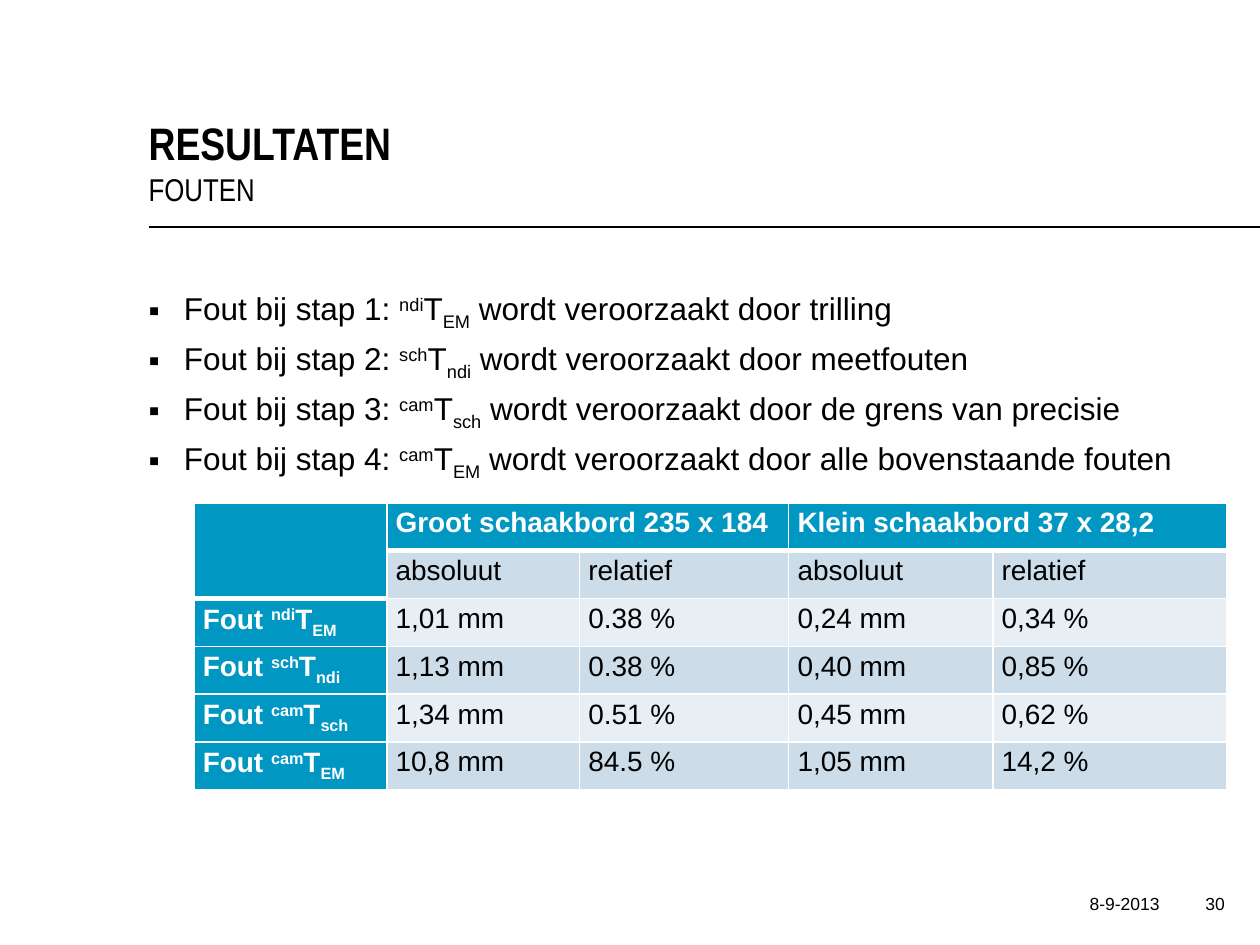
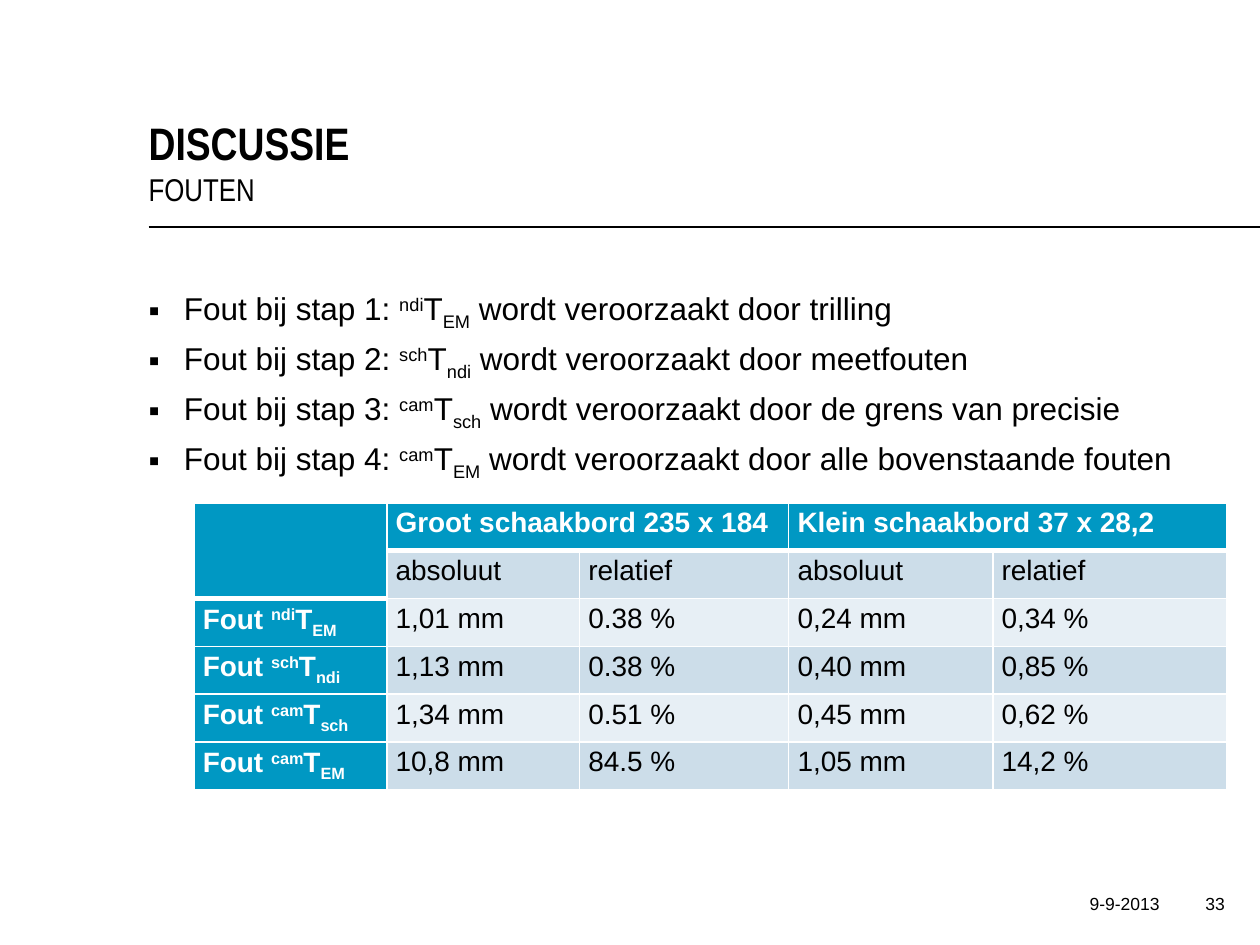
from lxml.etree import SubElement as Sub
from pptx import Presentation as Deck
from pptx.dml.color import RGBColor as Rgb
from pptx.enum.shapes import MSO_CONNECTOR as Link
from pptx.enum.text import MSO_ANCHOR as Anchor, PP_ALIGN as Align
from pptx.oxml.ns import qn
from pptx.util import Inches, Pt

HUES = {"ink": "000000", "paper": "FFFFFF", "head": "0098C3",
        "dark": "CCDDE9", "light": "E7EFF5"}
WIDE, HIGH = Inches(10), Inches(7.5)
COLS, ROWS = 100, 75
LEFT = 11.8
HEAD = (LEFT, 5.5, 85, 11)
RULE = (LEFT, 18, COLS - LEFT, 0)
BODY = (LEFT, 22.4, 85.3, 38.9)
GRID = (15.4, 39.9, 82, 22.8)
FOOT = (82.8, 70, 14.4, 5.2)
SHIFTS = (0, 30, 0, -25, 0)

TERMS = ["|ndi|T|EM|", "|sch|T|ndi|", "|cam|T|sch|", "|cam|T|EM|"]
CAUSES = ["trilling", "meetfouten", "de grens van precisie",
          "alle bovenstaande fouten"]
SPANS = [15.3, 15.3, 16.6, 16.2, 18.6]
BOARDS = ["Groot schaakbord 235 x 184", "Klein schaakbord 37 x 28,2"]
VALUES = [
    ["1,01 mm", "0.38 %", "0,24 mm", "0,34 %"],
    ["1,13 mm", "0.38 %", "0,40 mm", "0,85 %"],
    ["1,34 mm", "0.51 %", "0,45 mm", "0,62 %"],
    ["10,8 mm", "84.5 %", "1,05 mm", "14,2 %"],
]


def across(n):
    return round(WIDE * n / COLS)


def down(n):
    return round(HIGH * n / ROWS)


def place(box):
    x, y, w, h = box
    return across(x), down(y), across(w), down(h)


def pad(part, left, top, right, base):
    part.margin_left, part.margin_right = across(left), across(right)
    part.margin_top, part.margin_bottom = down(top), down(base)


def write(par, text, size=18, font="Arial", hue="ink", bold=False,
          lead=Pt(25), gap=0, align=Align.LEFT, mark=None):
    par.alignment, par.line_spacing, par.space_before = align, lead, Pt(gap)
    if mark:
        props = par._p.get_or_add_pPr()
        props.set("marL", str(across(2.8)))
        props.set("indent", str(-across(2.8)))
        Sub(props, qn("a:buFont"), typeface="Arial")
        Sub(props, qn("a:buChar"), char=mark)
    for piece, shift in zip(text.split("|"), SHIFTS):
        if not piece:
            continue
        run = par.add_run()
        run.text = piece
        run.font.size, run.font.name, run.font.bold = Pt(size), font, bold
        run.font.color.rgb = Rgb.from_string(HUES[hue])
        if shift:
            run.font._element.set("baseline", str(shift * 1000))


def frame(slide, box, pads, anchor=Anchor.TOP):
    area = slide.shapes.add_textbox(*place(box)).text_frame
    area.word_wrap, area.vertical_anchor = True, anchor
    pad(area, *pads)
    return area


def header(slide, box, title, topic):
    x, y, w, h = box
    split = 8
    for text, top, tall, look in (
            (title, y, split, {"size": 26, "bold": True}),
            (topic, y + split, h - split, {})):
        area = frame(slide, (x, top, w, tall), (0, 0, 0, 0), Anchor.BOTTOM)
        write(area.paragraphs[0], text, font="Arial Narrow", **look)


def rule(slide, box):
    x, y, w, h = place(box)
    line = slide.shapes.add_connector(Link.STRAIGHT, x, y, x + w, y + h)
    line.line.color.rgb = Rgb.from_string(HUES["ink"])
    line.line.width = Pt(1)
    Sub(line._element.spPr, qn("a:effectLst"))


def steps(slide, box):
    area = frame(slide, box, (0, 0.5, 1, 0.5))
    for n, (term, cause) in enumerate(zip(TERMS, CAUSES)):
        par = area.add_paragraph() if n else area.paragraphs[0]
        write(par, f"Fout bij stap {n + 1}: {term} wordt veroorzaakt door {cause}",
              gap=3.6 if n else 0, mark="▪")


def thick(row, col):
    return row == 0 or (row, col) == (1, 0)


def edge(cell, row, col):
    sides = {"L": 1, "R": 1, "T": 3 if thick(row - 1, col) else 1,
             "B": 3 if thick(row, col) else 1}
    for side, size in sides.items():
        line = Sub(cell._tc.get_or_add_tcPr(), qn(f"a:ln{side}"), w=str(Pt(size)))
        Sub(Sub(line, qn("a:solidFill")), qn("a:srgbClr"), val=HUES["paper"])


def grid(slide, box):
    rows = [["", BOARDS[0], "", BOARDS[1], ""],
            [""] + ["absoluut", "relatief"] * 2]
    rows += [[f"Fout {term}"] + vals for term, vals in zip(TERMS, VALUES)]
    table = slide.shapes.add_table(len(rows), len(SPANS), *place(box)).table
    for col, span in zip(table.columns, SPANS):
        col.width = across(box[2] * span / sum(SPANS))
    for r, texts in enumerate(rows):
        table.rows[r].height = down(box[3] / len(rows))
        for c, text in enumerate(texts):
            cell, main = table.cell(r, c), r == 0 or c == 0
            pad(cell, 0.7, 0, 0.7, 0)
            edge(cell, r, c)
            cell.fill.solid()
            fill = "head" if main else "dark" if r % 2 else "light"
            cell.fill.fore_color.rgb = Rgb.from_string(HUES[fill])
            write(cell.text_frame.paragraphs[0], text, size=16, lead=1.15,
                  hue="paper" if main else "ink", bold=main)
    for first, last in (((0, 0), (1, 0)), ((0, 1), (0, 2)), ((0, 3), (0, 4))):
        table.cell(*first).merge(table.cell(*last))


def footer(slide, box, date, page):
    x, y, w, h = box
    split = 10.3
    for text, left, wide, right in ((date, x, split - 0.1, 1),
                                    (page, x + split, w - split, 0)):
        area = frame(slide, (left, y, wide, h), (1, 0.5, right, 0.5))
        write(area.paragraphs[0], text, size=10, lead=Pt(15), align=Align.RIGHT)


def errors(deck, title, date, page):
    slide = deck.slides.add_slide(deck.slide_layouts[6])
    rule(slide, RULE)
    steps(slide, BODY)
    footer(slide, FOOT, date, page)
    header(slide, HEAD, title, "FOUTEN")
    grid(slide, GRID)


def main():
    deck = Deck()
    deck.slide_width, deck.slide_height = WIDE, HIGH
    errors(deck, "RESULTATEN", "8-9-2013", "30")
    errors(deck, "DISCUSSIE", "9-9-2013", "33")
    deck.save("out.pptx")


if __name__ == "__main__":
    main()
